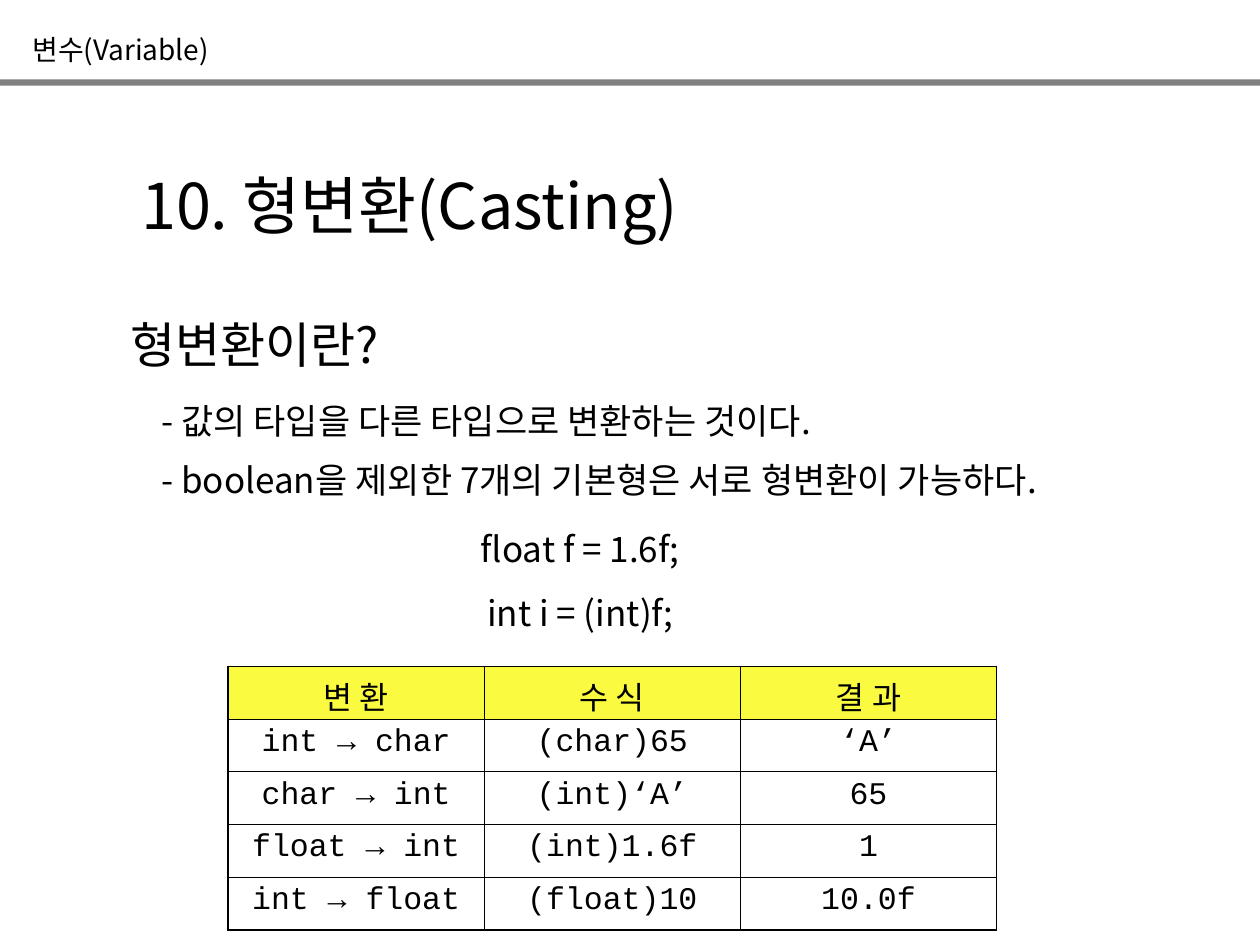
"""Build the slide that explains type casting."""
import pptx
import pptx.dml.color
import pptx.enum.shapes
import pptx.enum.text
import pptx.oxml.ns
import pptx.util
from pptx.util import Inches

COLORS = {"text": "000000", "rule": "7F7F7F", "header": "FAFA40", "border": "000000"}
ALIGN = pptx.enum.text.PP_ALIGN
SANS = "Noto Sans CJK KR"
MONO = "Courier New"
qn = pptx.oxml.ns.qn


def rgb(name):
    return pptx.dml.color.RGBColor.from_string(COLORS[name])


class SlideBuilder:

    def __init__(self, prs):
        self.s = prs.slides.add_slide(prs.slide_layouts[1])

    def set_lines(self, tf, lines, size, font=SANS, align=ALIGN.LEFT, gap=0):
        tf.word_wrap = True
        for i, line in enumerate(lines):
            p = tf.paragraphs[0] if i == 0 else tf.add_paragraph()
            p.add_run().text = line
            p.alignment = align
            p.space_before = pptx.util.Pt(gap if i else 0)
            p.font.size = pptx.util.Pt(size)
            p.font.name = font
            p.font.color.rgb = rgb("text")
            defaults = p._p.pPr.find(qn("a:defRPr"))
            defaults.append(defaults.makeelement(qn("a:ea"), {"typeface": font}))

    def placeholder(self, idx, box, lines, size, gap=0):
        sp = self.s.placeholders[idx]
        sp.left, sp.top, sp.width, sp.height = map(Inches, box)
        tf = sp.text_frame
        tf.auto_size = pptx.enum.text.MSO_AUTO_SIZE.NONE
        tf.vertical_anchor = pptx.enum.text.MSO_ANCHOR.TOP
        self.set_lines(tf, lines, size, gap=gap)
        for p in tf.paragraphs:
            pPr = p._p.pPr
            pPr.set("marL", "0")
            pPr.set("indent", "0")
            none = pPr.makeelement(qn("a:buNone"), {})
            pPr.find(qn("a:defRPr")).addprevious(none)

    def text(self, box, lines, size, **style):
        sp = self.s.shapes.add_textbox(*map(Inches, box))
        self.set_lines(sp.text_frame, lines, size, **style)

    def bar(self, box, color):
        rect = pptx.enum.shapes.MSO_SHAPE.RECTANGLE
        sp = self.s.shapes.add_shape(rect, *map(Inches, box))
        sp.shadow.inherit = False
        sp.fill.solid()
        sp.fill.fore_color.rgb = rgb(color)
        sp.line.fill.background()

    def border(self, cell, side, width):
        tcPr = cell._tc.get_or_add_tcPr()
        ln = tcPr.makeelement(qn(f"a:ln{side}"), {"w": str(int(pptx.util.Pt(width)))})
        fill = ln.makeelement(qn("a:solidFill"), {})
        fill.append(fill.makeelement(qn("a:srgbClr"), {"val": COLORS["border"]}))
        ln.append(fill)
        tcPr.append(ln)

    def table(self, box, rows, size, outer=1.08, inner=0.45):
        n_rows, n_cols = len(rows), len(rows[0])
        table = self.s.shapes.add_table(n_rows, n_cols, *map(Inches, box)).table
        for r, row in enumerate(rows):
            for c, value in enumerate(row):
                cell = table.cell(r, c)
                edges = {"L": c == 0, "R": c == n_cols - 1,
                         "T": r == 0, "B": r == n_rows - 1}
                for side, is_outer in edges.items():
                    self.border(cell, side, outer if is_outer else inner)
                if r == 0:
                    cell.fill.solid()
                    cell.fill.fore_color.rgb = rgb("header")
                else:
                    cell.fill.background()
                self.set_lines(cell.text_frame, [value], size,
                               font=MONO if r else SANS, align=ALIGN.CENTER)


def main():
    prs = pptx.Presentation()
    prs.slide_width, prs.slide_height = Inches(10), Inches(7.5)
    slide = SlideBuilder(prs)
    slide.bar((0, 0.63, 10, 0.05), "rule")
    slide.text((0.16, 0.21, 3.19, 0.37), ["변수(Variable)"], 16)
    slide.placeholder(0, (1.02, 1.27, 8.23, 0.7), ["10. 형변환(Casting)"], 36)
    slide.text((0.94, 2.45, 2.6, 0.57), ["형변환이란?"], 28)
    slide.placeholder(1, (1.18, 3.12, 8.82, 0.91), [
        "- 값의 타입을 다른 타입으로 변환하는 것이다.",
        "- boolean을 제외한 7개의 기본형은 서로 형변환이 가능하다.",
    ], 20, gap=10)
    slide.text((1.77, 4.14, 5.67, 0.94), ["float f = 1.6f;", "int i = (int)f;"], 20,
               align=ALIGN.CENTER, gap=12.5)
    slide.table((1.81, 5.29, 6.1, 2.09), [
        ("변 환", "수 식", "결 과"),
        ("int → char", "(char)65", "‘A’"),
        ("char → int", "(int)‘A’", "65"),
        ("float → int", "(int)1.6f", "1"),
        ("int → float", "(float)10", "10.0f"),
    ], 18)
    prs.save("out.pptx")


if __name__ == "__main__":
    main()
